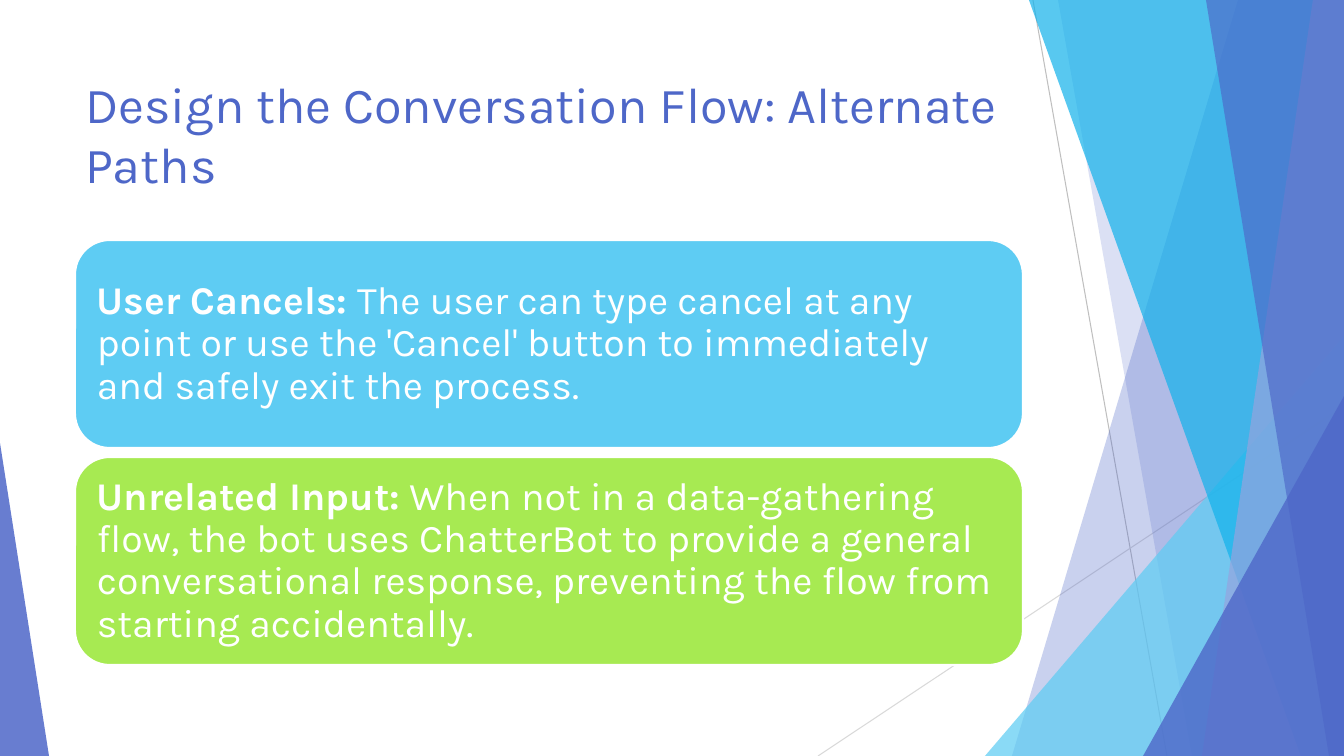
import dataclasses

import lxml.etree
import pptx
import pptx.dml.color
import pptx.enum.shapes
import pptx.enum.text
import pptx.oxml.ns
import pptx.util

EMU_PER_PX = 914400 / 100.8
SLIDE_W, SLIDE_H = 1344, 756
CARD_LEFT, CARD_TOP, CARD_W, CARD_H, CARD_PITCH = 75, 240, 948, 208, 217
TEXT_MARGIN = 10


@dataclasses.dataclass(frozen=True)
class Theme:
    """Colours, font and type sizes of the slide."""
    indigo: str = "4E67C8"
    lavender: str = "95A4DE"
    sky: str = "5ECCF3"
    azure: str = "12B2EB"
    lime: str = "A7EA52"
    white: str = "FFFFFF"
    grey: str = "BFBFBF"
    light_grey: str = "D9D9D9"
    font: str = "Karla"
    title_pt: int = 36
    body_pt: int = 28


THEME = Theme()


def px(length):
    """Convert pixels to EMU."""
    return pptx.util.Emu(round(length * EMU_PER_PX))


def rgb(colour):
    """Turn a hex string into a colour."""
    return pptx.dml.color.RGBColor.from_string(colour)


def paint(shape, colour, opacity=100):
    """Give a shape a flat fill without line or shadow."""
    shape.shadow.inherit = False
    shape.line.fill.background()
    shape.fill.solid()
    shape.fill.fore_color.rgb = rgb(colour)
    if opacity < 100:
        tint = shape.fill._xPr.find(".//" + pptx.oxml.ns.qn("a:srgbClr"))
        alpha = lxml.etree.SubElement(tint, pptx.oxml.ns.qn("a:alpha"))
        alpha.set("val", str(opacity * 1000))


def add_ray(slide, start, end, colour):
    """Draw a thin straight line."""
    ray = slide.shapes.add_connector(
        pptx.enum.shapes.MSO_CONNECTOR.STRAIGHT, *map(px, start + end))
    ray.line.color.rgb = rgb(colour)
    ray.line.width = pptx.util.Pt(0.75)
    lxml.etree.SubElement(ray._element.spPr, pptx.oxml.ns.qn("a:effectLst"))


def add_shard(slide, top_x, bottom_x, colour, opacity):
    """Fill the area between a slanted edge and the right side."""
    outline = slide.shapes.build_freeform(top_x, 0, scale=EMU_PER_PX)
    outline.add_line_segments(
        [(SLIDE_W, 0), (SLIDE_W, SLIDE_H), (bottom_x, SLIDE_H)], close=True)
    paint(outline.convert_to_shape(), colour, opacity)


def add_corner(slide, left, top, width, apex, colour, opacity):
    """Draw a translucent triangle standing on the bottom edge."""
    corner = slide.shapes.add_shape(
        pptx.enum.shapes.MSO_SHAPE.ISOSCELES_TRIANGLE,
        px(left), px(top), px(width), px(SLIDE_H - top))
    corner.adjustments[0] = apex
    paint(corner, colour, opacity)


def add_run(paragraph, text, size, colour, bold=False):
    """Append one formatted run."""
    run = paragraph.add_run()
    run.text = text
    run.font.name = THEME.font
    run.font.size = pptx.util.Pt(size)
    run.font.bold = bold
    run.font.color.rgb = rgb(colour)


def add_backdrop(slide):
    """Lay out the faceted decoration from back to front."""
    add_ray(slide, (1033, 0), (1167, SLIDE_H), THEME.grey)
    add_ray(slide, (SLIDE_W, 406), (818, SLIDE_H), THEME.light_grey)
    add_shard(slide, 1238, 1012, THEME.indigo, 30)
    add_shard(slide, 1058, 1192, THEME.indigo, 20)
    add_corner(slide, 985, 336, 359, 1, THEME.sky, 72)
    add_shard(slide, 1029, 1301, THEME.azure, 70)
    add_shard(slide, 1313, 1202, THEME.lavender, 70)
    add_shard(slide, 1206, 1329, THEME.indigo, 65)
    add_corner(slide, 1143, 396, 201, 1, THEME.indigo, 80)
    add_corner(slide, 0, 443, 49, 0, THEME.indigo, 85)


def set_title(slide, text):
    """Place and format the title."""
    title = slide.shapes.title
    title.left, title.top, title.width, title.height = map(px, (75, 68, 948, 145))
    frame = title.text_frame
    frame.word_wrap = True
    frame.auto_size = pptx.enum.text.MSO_AUTO_SIZE.NONE
    frame.vertical_anchor = pptx.enum.text.MSO_ANCHOR.TOP
    heading = frame.paragraphs[0]
    heading.alignment = pptx.enum.text.PP_ALIGN.LEFT
    add_run(heading, text, THEME.title_pt, THEME.indigo)


def add_card(slide, top, colour, label, detail):
    """Draw a rounded card with a bold label and its explanation."""
    card = slide.shapes.add_shape(
        pptx.enum.shapes.MSO_SHAPE.ROUNDED_RECTANGLE,
        px(CARD_LEFT), px(top), px(CARD_W), px(CARD_H))
    paint(card, colour)
    card.line.color.rgb = rgb(THEME.white)
    card.line.width = pptx.util.Pt(1.5)
    caption = slide.shapes.add_textbox(
        px(CARD_LEFT + TEXT_MARGIN), px(top + TEXT_MARGIN),
        px(CARD_W - 2 * TEXT_MARGIN), px(CARD_H - 2 * TEXT_MARGIN))
    frame = caption.text_frame
    frame.word_wrap = True
    frame.vertical_anchor = pptx.enum.text.MSO_ANCHOR.MIDDLE
    frame.margin_left = frame.margin_right = px(12)
    frame.margin_top = frame.margin_bottom = px(12)
    paragraph = frame.paragraphs[0]
    paragraph.line_spacing = 0.9
    add_run(paragraph, label, THEME.body_pt, THEME.white, bold=True)
    add_run(paragraph, detail, THEME.body_pt, THEME.white)


def main():
    """Build and save the slide."""
    deck = pptx.Presentation()
    deck.slide_width, deck.slide_height = px(SLIDE_W), px(SLIDE_H)
    slide = deck.slides.add_slide(deck.slide_layouts.get_by_name("Title Only"))
    add_backdrop(slide)
    set_title(slide, "Design the Conversation Flow: Alternate Paths")
    alternate_paths = [
        (THEME.sky, "User Cancels: ",
         "The user can type cancel at any point or use the 'Cancel' button "
         "to immediately and safely exit the process."),
        (THEME.lime, "Unrelated Input:",
         " When not in a data-gathering flow, the bot uses ChatterBot to "
         "provide a general conversational response, preventing the flow "
         "from starting accidentally."),
    ]
    for index, (colour, label, detail) in enumerate(alternate_paths):
        add_card(slide, CARD_TOP + index * CARD_PITCH, colour, label, detail)
    deck.save("out.pptx")


if __name__ == "__main__":
    main()
